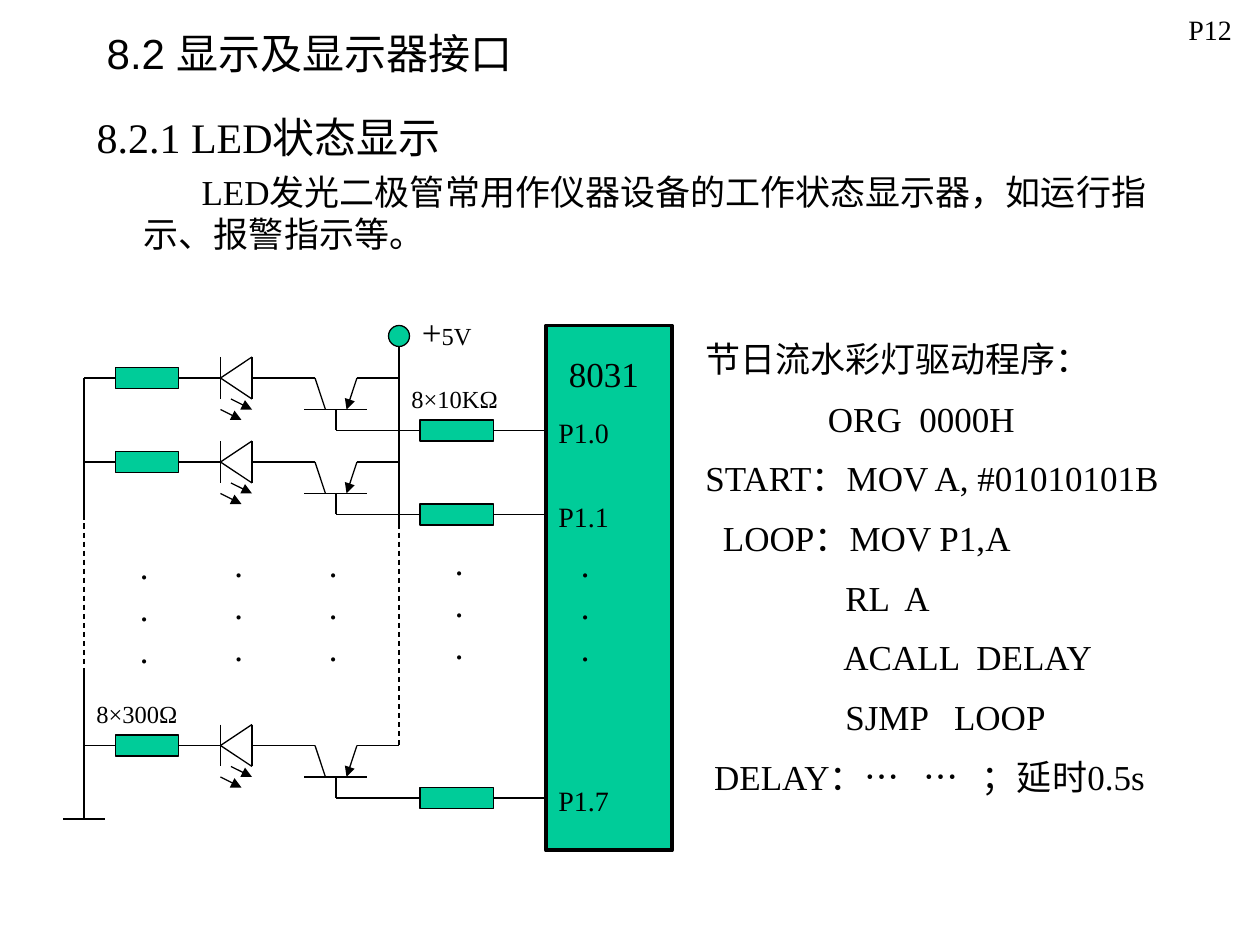
from lxml.etree import SubElement
from pptx import Presentation
from pptx.dml.color import RGBColor
from pptx.enum.dml import MSO_LINE
from pptx.enum.lang import MSO_LANGUAGE_ID as LANGUAGE
from pptx.enum.shapes import MSO_CONNECTOR, MSO_SHAPE as SHAPE
from pptx.enum.text import MSO_ANCHOR as ANCHOR, MSO_AUTO_SIZE as AUTO_SIZE, PP_ALIGN as ALIGN
from pptx.oxml.ns import qn
from pptx.util import Pt

PX = 7620  # EMU in one px, 120 px to the inch
BLACK, GREEN = "000000", "00CC99"
SERIF, SANS = "Times New Roman", "Arial"

TITLE = "8.2 显示及显示器接口"
HEADING = "8.2.1 LED状态显示"
INTRO = "LED发光二极管常用作仪器设备的工作状态显示器，如运行指示、报警指示等。"
PROGRAM = [
    "节日流水彩灯驱动程序：",
    "              ORG  0000H",
    "START：MOV A, #01010101B",
    "  LOOP：MOV P1,A",
    "                RL  A",
    "                ACALL  DELAY",
    "                SJMP   LOOP",
    " DELAY：…   …   ；延时0.5s",
]

# Circuit geometry
CHANNELS = [("P1.0", 360), ("P1.1", 440), ("P1.7", 710)]
GROUND_X, SUPPLY_X, CHIP_X = 80, 380, 520
DOTS = [(120, 522), (210, 520), (300, 520), (420, 518), (540, 520)]
LABELS = [  # text, size, left, top, width, height
    ("8×10KΩ", 14, 380, 360, 130, 41),
    ("8×300Ω", 14, 80, 660, 120, 41),
    ("8031", 20, 530, 330, 100, 53),
]
# One channel: x1, y1, x2, y2, with y measured from the channel's own line
CHANNEL_LINES = [
    (210, -20, 210, 20), (240, -20, 240, 20),  # LED
    (210, 0, 240, -20), (210, 0, 240, 20),
    (240, 0, 300, 0), (300, 0, 310, 30),       # transistor
    (290, 30, 350, 30), (340, 0, SUPPLY_X, 0),
    (320, 30, 320, 50),
]
CHANNEL_ARROWS = [(340, 0, 330, 30), (220, 20, 240, 30), (210, 30, 230, 40)]
RAILS = [
    (SUPPLY_X, 330, SUPPLY_X, 500), (GROUND_X, 360, GROUND_X, 490),
    (GROUND_X, 640, GROUND_X, 780), (60, 780, 100, 780),
]
DASHED_RAILS = [(GROUND_X, 490, GROUND_X, 640), (SUPPLY_X, 490, SUPPLY_X, 710)]


def emu(*lengths):
    return [length * PX for length in lengths]


def color(hex_code):
    return RGBColor.from_string(hex_code)


def write(para, text, size=20, font=SERIF, align=None, before=0, spacing=None):
    """Add a formatted span to a paragraph."""
    para.space_before = Pt(before)
    if align is not None:
        para.alignment = align
    if spacing is not None:
        para.line_spacing = spacing
    span = para.add_run()
    span.text = text
    span.font.size = Pt(size)
    span.font.name = font
    span.font.color.rgb = color(BLACK)
    span.font.language_id = LANGUAGE.SIMPLIFIED_CHINESE


def add_box(shapes, left, top, width, height):
    """Add an empty text box and return its first paragraph and its frame."""
    frame = shapes.add_textbox(*emu(left, top, width, height)).text_frame
    frame.word_wrap = True
    frame.auto_size = AUTO_SIZE.SHAPE_TO_FIT_TEXT
    return frame.paragraphs[0], frame


def add_label(shapes, text, size, *bounds):
    para, _ = add_box(shapes, *bounds)
    write(para, text, size)


def add_part(shapes, kind, left, top, width, height, weight=0.75):
    part = shapes.add_shape(kind, *emu(left, top, width, height))
    part.shadow.inherit = False
    part.fill.solid()
    part.fill.fore_color.rgb = color(GREEN)
    part.line.color.rgb = color(BLACK)
    part.line.width = Pt(weight)
    return part


def add_wire(shapes, ends, dashed=False, arrow=False):
    wire = shapes.add_connector(MSO_CONNECTOR.STRAIGHT, *emu(*ends))
    wire.line.color.rgb = color(BLACK)
    wire.line.width = Pt(0.75)
    if dashed:
        wire.line.dash_style = MSO_LINE.DASH
    properties = wire.element.spPr
    if arrow:
        SubElement(properties.find(qn("a:ln")), qn("a:tailEnd"), type="triangle")
    SubElement(properties, qn("a:effectLst"))
    return wire


def add_resistor(shapes, left, y, width, wire_start, wire_end):
    """Add a resistor centred on y, wired on both sides."""
    resistor = add_part(shapes, SHAPE.RECTANGLE, left, y - 10, width, 20)
    add_wire(shapes, (wire_start, y, left, y)).end_connect(resistor, 1)
    add_wire(shapes, (left + width, y, wire_end, y)).begin_connect(resistor, 3)


def add_channel(shapes, y):
    add_resistor(shapes, 110, y, 60, GROUND_X, 210)
    add_resistor(shapes, 400, y + 50, 70, 320, CHIP_X)
    for lines, arrow in ((CHANNEL_LINES, False), (CHANNEL_ARROWS, True)):
        for x1, y1, x2, y2 in lines:
            add_wire(shapes, (x1, y + y1, x2, y + y2), arrow=arrow)


def add_circuit(page):
    shapes = page.shapes.add_group_shape().shapes
    for _, y in CHANNELS:
        add_channel(shapes, y)
    for ends in RAILS:
        add_wire(shapes, ends)
    for ends in DASHED_RAILS:
        add_wire(shapes, ends, dashed=True)
    add_part(shapes, SHAPE.RECTANGLE, CHIP_X, 310, 120, 500, weight=2.25)
    add_part(shapes, SHAPE.OVAL, SUPPLY_X - 10, 310, 20, 20)
    for pin, y in CHANNELS:
        add_label(shapes, pin, 16, CHIP_X, y + 30, 100, 44)
    for label in LABELS:
        add_label(shapes, *label)
    for left, top in DOTS:
        add_label(shapes, "···", 20, left, top, 30, 132)
    supply, _ = add_box(shapes, 390, 290, 80, 53)
    write(supply, "+", 20)
    write(supply, "5V", 14)


def place(holder, left, top, width, height):
    holder.left, holder.top, holder.width, holder.height = emu(left, top, width, height)
    holder.text_frame.auto_size = AUTO_SIZE.NONE
    return holder.text_frame


def add_headings(page):
    title = place(page.shapes.title, 80, 30, 430, 40)
    title.vertical_anchor = ANCHOR.MIDDLE
    write(title.paragraphs[0], TITLE, 24, SANS, align=ALIGN.CENTER)

    body = place(page.placeholders[1], 80, 100, 1030, 170)
    lines = [(HEADING, 24, -45, 0), (INTRO, 20, 55, 5)]
    for index, (text, size, indent, before) in enumerate(lines):
        para = body.add_paragraph() if index else body.paragraphs[0]
        properties = para._p.get_or_add_pPr()
        properties.set("marL", str(45 * PX))
        properties.set("indent", str(indent * PX))
        SubElement(properties, qn("a:buNone"))
        write(para, text, size, before=before)


def add_program(page):
    para, frame = add_box(page.shapes, 660, 320, 500, 482)
    for index, line in enumerate(PROGRAM):
        if index:
            para = frame.add_paragraph()
        write(para, line, before=12.5 if index else 0, spacing=0.9)


def main():
    deck = Presentation()
    deck.slide_width, deck.slide_height = emu(1200, 900)
    page = deck.slides.add_slide(deck.slide_layouts[1])
    add_headings(page)
    add_circuit(page)
    add_program(page)
    add_label(page.shapes, "P12", 16, 1120, 6, 80, 44)
    deck.save("out.pptx")


if __name__ == "__main__":
    main()
